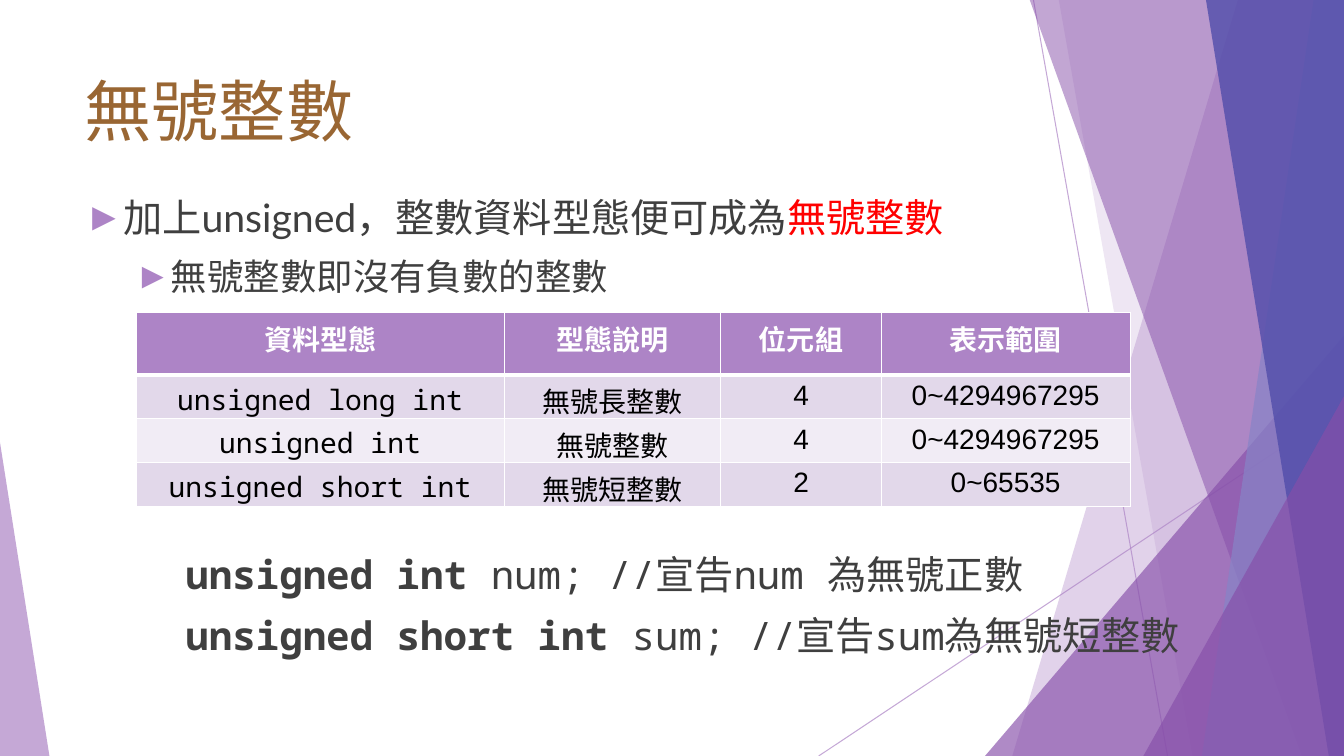
"""Build the slide on unsigned integers, with its faceted purple backdrop."""
from dataclasses import dataclass

from lxml.etree import SubElement
from pptx import Presentation
from pptx.dml.color import RGBColor
from pptx.enum.shapes import MSO_CONNECTOR, MSO_SHAPE
from pptx.enum.text import MSO_ANCHOR, PP_ALIGN
from pptx.oxml.ns import qn
from pptx.util import Inches, Pt

WHITE = RGBColor(0xFF, 0xFF, 0xFF)
BLACK = RGBColor(0x00, 0x00, 0x00)
RED = RGBColor(0xFF, 0x00, 0x00)
BROWN = RGBColor(0x99, 0x66, 0x33)
GRAY = RGBColor(0x3F, 0x3F, 0x3F)
LILAC = RGBColor(0xAD, 0x84, 0xC6)
PURPLE = RGBColor(0x86, 0x4E, 0xA9)
PERIWINKLE = RGBColor(0x87, 0x84, 0xC7)
INDIGO = RGBColor(0x51, 0x4D, 0xAA)
ROW_DARK = RGBColor(0xE2, 0xD8, 0xEA)
ROW_LIGHT = RGBColor(0xF1, 0xEC, 0xF5)
SANS, TABLE_FONT, MONO = "Lato", "Arial", "Noto Sans Mono"
SLIDE_WIDTH, SLIDE_HEIGHT, BAND_TOP = 13.33, 7.5, -0.01


@dataclass(frozen=True)
class Ray:
    start: tuple[float, float]
    end: tuple[float, float]


@dataclass(frozen=True)
class Band:
    """A facet that reaches the right edge from a slanted left side."""
    top_x: float
    bottom_x: float
    color: RGBColor
    opacity: int


@dataclass(frozen=True)
class Wedge:
    """A triangle standing on the bottom edge of the slide."""
    left: float
    top: float
    width: float
    apex: int
    color: RGBColor
    opacity: int


@dataclass(frozen=True)
class Span:
    text: str
    color: RGBColor = GRAY
    bold: bool = False


@dataclass(frozen=True)
class Line:
    spans: tuple[Span, ...]
    size: int
    font: str
    indent: float = 0
    hanging: float = 0


RAYS = (Ray((10.25, 0), (11.58, 7.5)), Ray((13.33, 4.03), (8.12, 7.5)))
FACETS = (
    Band(12.28, 10.04, LILAC, 36),
    Band(10.5, 11.83, LILAC, 20),
    Wedge(9.77, 3.33, 3.56, 1, PURPLE, 66),
    Band(10.21, 12.91, PURPLE, 50),
    Band(13.03, 11.92, PERIWINKLE, 70),
    Band(11.96, 13.18, INDIGO, 80),
    Wedge(11.34, 3.93, 1.99, 1, PURPLE, 66),
    Wedge(0, 4.39, 0.49, 0, LILAC, 70),
)
BULLETS = (
    Line((Span("加上unsigned，整數資料型態便可成為"), Span("無號整數", RED)), 28, SANS, 0.38, 0.38),
    Line((Span("無號整數即沒有負數的整數"),), 26, SANS, 0.81, 0.31),
)
DECLARATIONS = (
    Line((Span("unsigned int ", bold=True), Span("num; //宣告num 為無號正數")), 28, MONO),
    Line((Span("unsigned short int ", bold=True), Span("sum; //宣告sum為無號短整數")), 28, MONO),
)
TYPE_ROWS = (
    ("資料型態", "型態說明", "位元組", "表示範圍"),
    ("unsigned long int", "無號長整數", "4", "0~4294967295"),
    ("unsigned int", "無號整數", "4", "0~4294967295"),
    ("unsigned short int", "無號短整數", "2", "0~65535"),
)
COLUMN_WIDTHS = (3.65, 2.15, 1.59, 2.47)
ROW_HEIGHTS = (0.62, 0.41, 0.41, 0.41)


def set_opacity(properties, percent: int) -> None:
    color = next(properties.iter(qn("a:srgbClr")))
    SubElement(color, qn("a:alpha"), val=str(percent * 1000))


def draw_ray(slide, ray: Ray) -> None:
    points = [Inches(value) for value in ray.start + ray.end]
    connector = slide.shapes.add_connector(MSO_CONNECTOR.STRAIGHT, *points)
    connector.line.color.rgb = LILAC
    connector.line.width = Pt(0.75)
    properties = connector._element.spPr
    set_opacity(properties, 70)
    SubElement(properties, qn("a:effectLst"))


def draw_facet(slide, facet: Band | Wedge) -> None:
    if isinstance(facet, Band):
        builder = slide.shapes.build_freeform(Inches(facet.top_x), Inches(BAND_TOP))
        corners = ((SLIDE_WIDTH, BAND_TOP), (SLIDE_WIDTH, SLIDE_HEIGHT), (facet.bottom_x, SLIDE_HEIGHT))
        builder.add_line_segments([(Inches(x), Inches(y)) for x, y in corners])
        shape = builder.convert_to_shape()
    else:
        shape = slide.shapes.add_shape(
            MSO_SHAPE.ISOSCELES_TRIANGLE, Inches(facet.left), Inches(facet.top),
            Inches(facet.width), Inches(SLIDE_HEIGHT - facet.top))
        shape.adjustments[0] = facet.apex
    shape.shadow.inherit = False
    shape.line.fill.background()
    shape.fill.solid()
    shape.fill.fore_color.rgb = facet.color
    set_opacity(shape._element.spPr, facet.opacity)


def add_frame(slide, left: float, top: float, width: float, height: float):
    frame = slide.shapes.add_textbox(Inches(left), Inches(top), Inches(width), Inches(height)).text_frame
    frame.word_wrap = True
    return frame


def add_bullet(paragraph, line: Line) -> None:
    properties = paragraph._p.get_or_add_pPr()
    properties.set("marL", str(Inches(line.indent)))
    properties.set("indent", str(-Inches(line.hanging)))
    SubElement(SubElement(properties, qn("a:buClr")), qn("a:srgbClr"), val=str(LILAC))
    SubElement(properties, qn("a:buFont"), typeface=TABLE_FONT)
    SubElement(properties, qn("a:buChar"), char="►")


def write_lines(frame, lines: tuple[Line, ...]) -> None:
    for index, line in enumerate(lines):
        paragraph = frame.add_paragraph() if index else frame.paragraphs[0]
        paragraph.line_spacing = Pt(line.size * 1.2)
        paragraph.space_before = Pt(10 if index else 0)
        paragraph.font.size = Pt(line.size)
        paragraph.font.name = line.font
        if line.hanging:
            add_bullet(paragraph, line)
        for span in line.spans:
            run = paragraph.add_run()
            run.text = span.text
            run.font.size = Pt(line.size)
            run.font.name = line.font
            run.font.bold = span.bold
            run.font.color.rgb = span.color


def draw_title(slide) -> None:
    frame = add_frame(slide, 0.74, 0.67, 10, 0.83)
    frame.vertical_anchor = MSO_ANCHOR.MIDDLE
    paragraph = frame.paragraphs[0]
    paragraph.text = "無號整數"
    paragraph.font.size = Pt(48)
    paragraph.font.name = SANS
    paragraph.font.color.rgb = BROWN


def add_border(properties, position: int, side: str, points: int) -> None:
    border = SubElement(properties, qn(f"a:{side}"), w=str(Pt(points)))
    SubElement(SubElement(border, qn("a:solidFill")), qn("a:srgbClr"), val=str(WHITE))
    properties.insert(position, border)


def style_cell(cell, row: int, column: int) -> None:
    cell.fill.solid()
    cell.fill.fore_color.rgb = LILAC if row == 0 else (ROW_DARK if row % 2 else ROW_LIGHT)
    paragraph = cell.text_frame.paragraphs[0]
    paragraph.alignment = PP_ALIGN.CENTER
    paragraph.font.size = Pt(20)
    paragraph.font.name = MONO if row and column == 0 else TABLE_FONT
    paragraph.font.bold = row == 0
    paragraph.font.color.rgb = BLACK if row else WHITE
    heavy_side = {0: "lnB", 1: "lnT"}.get(row)
    for position, side in enumerate(("lnL", "lnR", "lnT", "lnB")):
        add_border(cell._tc.get_or_add_tcPr(), position, side, 3 if side == heavy_side else 1)


def draw_type_table(slide) -> None:
    table = slide.shapes.add_table(
        len(TYPE_ROWS), len(COLUMN_WIDTHS), Inches(1.35), Inches(3.1),
        Inches(sum(COLUMN_WIDTHS)), Inches(sum(ROW_HEIGHTS))).table
    for column, width in zip(table.columns, COLUMN_WIDTHS):
        column.width = Inches(width)
    for row, (height, texts) in enumerate(zip(ROW_HEIGHTS, TYPE_ROWS)):
        table.rows[row].height = Inches(height)
        for column, text in enumerate(texts):
            table.cell(row, column).text = text
            style_cell(table.cell(row, column), row, column)


def main() -> None:
    deck = Presentation()
    deck.slide_width, deck.slide_height = Inches(SLIDE_WIDTH), Inches(SLIDE_HEIGHT)
    slide = deck.slides.add_slide(deck.slide_layouts[6])
    for ray in RAYS:
        draw_ray(slide, ray)
    for facet in FACETS:
        draw_facet(slide, facet)
    draw_title(slide)
    write_lines(add_frame(slide, 0.74, 1.87, 11.37, 1.15), BULLETS)
    write_lines(add_frame(slide, 1.74, 5.41, 10.6, 1.2), DECLARATIONS)
    draw_type_table(slide)
    deck.save("out.pptx")


if __name__ == "__main__":
    main()
